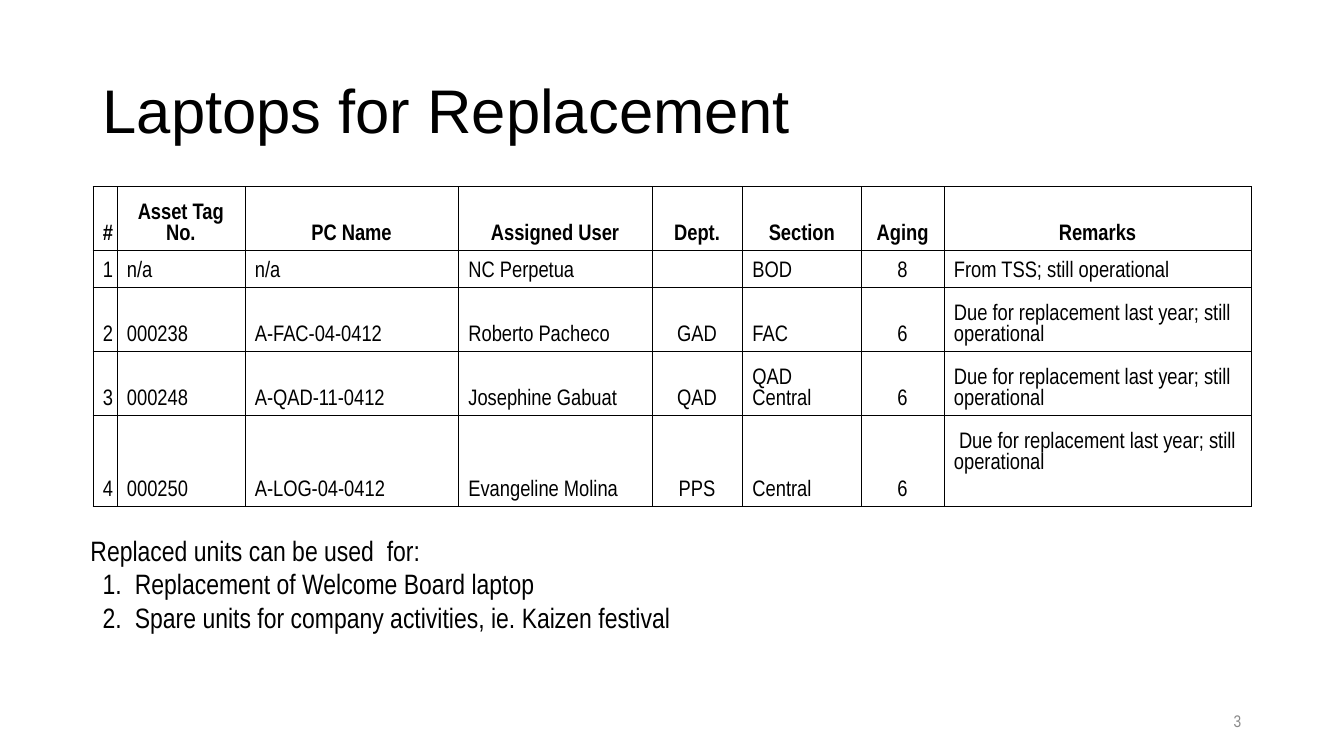
from lxml.etree import SubElement
from pptx import Presentation
from pptx.dml.color import RGBColor
from pptx.enum.text import MSO_ANCHOR as Anchor, PP_ALIGN as Align
from pptx.oxml.ns import qn
from pptx.util import Inches, Pt


def style(paragraph, size, name="Arial Narrow", color="000000", bold=False):
    font = paragraph.font
    font.size, font.name, font.bold = Pt(size), name, bold
    font.color.rgb = RGBColor.from_string(color)


def add_text(left, top, width, height, lines, anchor=Anchor.TOP):
    """Add a wrapping text box and return its paragraphs."""
    box = slide.shapes.add_textbox(
        Inches(left), Inches(top), Inches(width), Inches(height))
    frame = box.text_frame
    frame.word_wrap = True
    frame.vertical_anchor = anchor
    frame.text = "\n".join(lines)
    return frame.paragraphs


presentation = Presentation()
presentation.slide_width = Inches(13.34)
presentation.slide_height = Inches(7.5)
slide = presentation.slides.add_slide(presentation.slide_layouts[6])

# Title and slide number
title = add_text(0.92, 0.4, 11.5, 1.45, ["Laptops for Replacement"], Anchor.MIDDLE)[0]
title.line_spacing = 0.9
style(title, 44, "Arial")

number = add_text(9.42, 6.95, 3, 0.4, ["3"], Anchor.MIDDLE)[0]
number.alignment = Align.RIGHT
style(number, 12, color="898989")

# Laptop table
DUE = "Due for replacement last year; still operational"
ROWS = [
    ["#", "Asset Tag No.", "PC Name", "Assigned User", "Dept.", "Section", "Aging", "Remarks"],
    ["1", "n/a", "n/a", "NC Perpetua", "", "BOD", "8", "From TSS; still operational"],
    ["2", "000238", "A-FAC-04-0412", "Roberto Pacheco", "GAD", "FAC", "6", DUE],
    ["3", "000248", "A-QAD-11-0412", "Josephine Gabuat", "QAD", "QAD Central", "6", DUE],
    ["4", "000250", "A-LOG-04-0412", "Evangeline Molina", "PPS", "Central", "6", " " + DUE],
]
WIDTHS = [0.24, 1.27, 2.12, 1.92, 0.9, 1.18, 0.82, 3.05]
HEIGHTS = [0.63, 0.37, 0.63, 0.63, 0.9]
ALIGNMENTS = [Align.RIGHT] + [Align.LEFT] * 3 + [Align.CENTER, Align.LEFT, Align.CENTER, Align.LEFT]

table = slide.shapes.add_table(
    len(ROWS), len(WIDTHS), Inches(0.92), Inches(1.85),
    Inches(sum(WIDTHS)), Inches(sum(HEIGHTS))).table
table.first_row = table.horz_banding = False
for column, width in zip(table.columns, WIDTHS):
    column.width = Inches(width)

for row_index, (values, height) in enumerate(zip(ROWS, HEIGHTS)):
    table.rows[row_index].height = Inches(height)
    header = row_index == 0
    for column_index, value in enumerate(values):
        cell = table.cell(row_index, column_index)
        cell.text = value
        cell.vertical_anchor = Anchor.BOTTOM
        cell.margin_left = cell.margin_right = Inches(0.1)
        paragraph = cell.text_frame.paragraphs[0]
        paragraph.alignment = Align.CENTER if header else ALIGNMENTS[column_index]
        style(paragraph, 16, bold=header)
        properties = cell._tc.get_or_add_tcPr()
        for side in ("a:lnL", "a:lnR", "a:lnT", "a:lnB"):
            line = SubElement(properties, qn(side), w=str(Pt(0.23)))
            fill = SubElement(line, qn("a:solidFill"))
            SubElement(fill, qn("a:srgbClr"), val="000000")
        cell.fill.background()

# The last remark sits one line above the bottom of its row
table.cell(len(ROWS) - 1, len(WIDTHS) - 1).margin_bottom = Inches(0.32)

# Uses for the replaced units
uses = add_text(0.8, 5.24, 7.26, 1.1, [
    "Replaced units can be used  for:",
    "Replacement of Welcome Board laptop",
    "Spare units for company activities, ie. Kaizen festival",
])
for index, paragraph in enumerate(uses):
    if index:
        properties = paragraph._p.get_or_add_pPr()
        properties.set("marL", str(Inches(0.44)))
        properties.set("indent", str(-Inches(0.32)))
        SubElement(properties, qn("a:buFont"), typeface="Arial Narrow")
        SubElement(properties, qn("a:buAutoNum"), type="arabicPeriod")
    style(paragraph, 20)

presentation.save("out.pptx")
